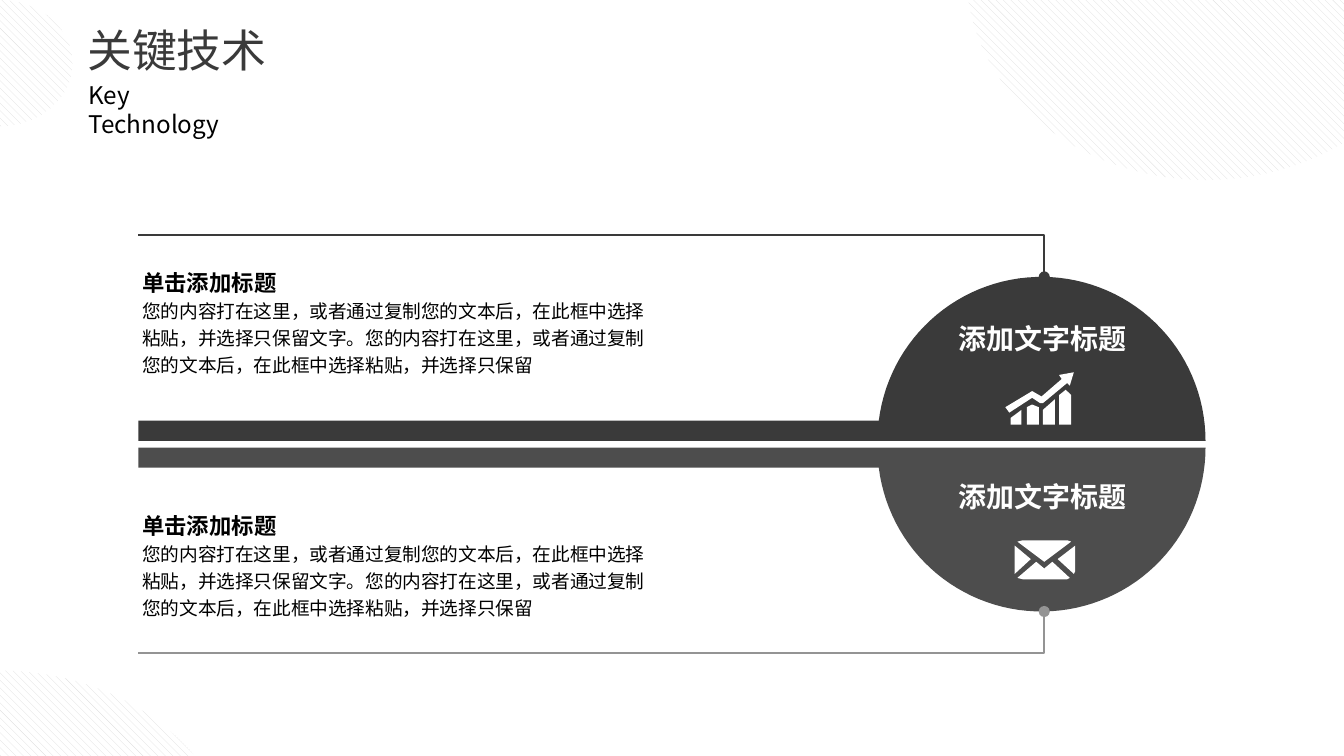
from math import asin, cos, pi, sin

from lxml import etree
from pptx import Presentation
from pptx.dml.color import RGBColor
from pptx.enum.dml import MSO_PATTERN
from pptx.enum.shapes import MSO_SHAPE
from pptx.enum.text import MSO_ANCHOR, PP_ALIGN
from pptx.oxml.ns import qn
from pptx.util import Inches, Pt

ELLIPSE = MSO_SHAPE.OVAL
DIAGONAL = MSO_PATTERN.WIDE_DOWNWARD_DIAGONAL
TOP = MSO_ANCHOR.TOP
LEFT = PP_ALIGN.LEFT

BLACK = RGBColor(0x00, 0x00, 0x00)
WHITE = RGBColor(0xFF, 0xFF, 0xFF)
DARK = RGBColor(0x3A, 0x3A, 0x3A)
SLATE = RGBColor(0x4D, 0x4D, 0x4D)
GREY = RGBColor(0x94, 0x94, 0x94)
HATCH = RGBColor(0xDD, 0xDD, 0xDD)

FONT = "Noto Sans CJK SC"
TITLE = {"size": Pt(24), "bold": False}
SUBTITLE = {"size": Pt(13), "bold": False}
LABEL = {"size": Pt(15), "bold": True}
HEADING = {"size": Pt(12), "bold": True}
BODY = {"size": Pt(10), "bold": False}

LABEL_TEXT = "添加文字标题"
HEADING_TEXT = "单击添加标题"
BODY_TEXT = (
    "您的内容打在这里，或者通过复制您的文本后，在此框中选择粘贴，并选择只保留文字。"
    "您的内容打在这里，或者通过复制您的文本后，在此框中选择粘贴，并选择只保留"
)

LEFT_EDGE = 1.03
CENTER_X, CENTER_Y, RADIUS = 7.75, 3.28, 1.22
BAR_TOP = 3.13
MIRROR_SUM = 6.61  # the y of a point and of its mirrored point add up to this

CHART_ICON = [
    [(7.48, 3.03), (7.68, 2.91), (7.75, 2.95), (7.90, 2.82), (7.88, 2.79),
     (7.99, 2.77), (7.96, 2.87), (7.94, 2.85), (7.76, 3.00), (7.74, 3.00),
     (7.68, 2.96), (7.51, 3.07)],
    [(7.52, 3.16), (7.52, 3.11), (7.60, 3.05), (7.60, 3.16)],
    [(7.64, 3.16), (7.64, 3.03), (7.68, 3.01), (7.73, 3.03), (7.73, 3.16)],
    [(7.76, 3.16), (7.76, 3.05), (7.85, 2.97), (7.85, 3.16)],
    [(7.88, 3.16), (7.88, 2.94), (7.93, 2.90), (7.97, 2.94), (7.97, 3.16)],
]
ENVELOPE_ICON = [
    [(7.57, 4.03), (7.61, 4.02), (7.94, 4.02), (7.97, 4.03), (7.77, 4.18)],
    [(8.00, 4.06), (7.87, 4.16), (7.99, 4.27), (8.00, 4.25)],
    [(7.96, 4.30), (7.94, 4.31), (7.61, 4.31), (7.57, 4.30), (7.71, 4.18),
     (7.77, 4.23), (7.83, 4.18)],
    [(7.55, 4.27), (7.67, 4.16), (7.55, 4.06)],
]


def mirrored(points):
    return [(x, MIRROR_SUM - y) for x, y in points]


def half_key_outline(steps=60):
    """Upper half disc with a bar running from it to the left edge."""
    start = pi - asin((CENTER_Y - BAR_TOP) / RADIUS)
    angles = [start * (1 - i / steps) for i in range(steps + 1)]
    arc = [(CENTER_X + RADIUS * cos(a), CENTER_Y - RADIUS * sin(a)) for a in angles]
    return [(LEFT_EDGE, CENTER_Y), (LEFT_EDGE, BAR_TOP)] + arc


def add_outline(slide, contours, closed=True):
    paths = [[(Inches(x), Inches(y)) for x, y in points] for points in contours]
    builder = slide.shapes.build_freeform(*paths[0][0])
    for index, points in enumerate(paths):
        if index:
            builder.move_to(*points[0])
        builder.add_line_segments(points[1:], close=closed)
    outline = builder.convert_to_shape()
    outline.shadow.inherit = False
    return outline


def add_filled(slide, contours, color):
    area = add_outline(slide, contours)
    area.fill.solid()
    area.fill.fore_color.rgb = color
    area.line.fill.background()


def add_leader(slide, points, color):
    """Bent line that ends in a dot."""
    leader = add_outline(slide, [points], closed=False)
    leader.fill.background()
    leader.line.color.rgb = color
    leader.line.width = Pt(1)
    line_xml = leader.element.spPr.find(qn("a:ln"))
    etree.SubElement(line_xml, qn("a:tailEnd"), type="oval")


def add_hatched_ellipse(slide, left, top, width, height):
    ellipse = slide.shapes.add_shape(
        ELLIPSE, Inches(left), Inches(top), Inches(width), Inches(height))
    ellipse.shadow.inherit = False
    ellipse.fill.patterned()
    ellipse.fill.pattern = DIAGONAL
    ellipse.fill.fore_color.rgb = HATCH
    ellipse.fill.back_color.rgb = WHITE
    ellipse.line.fill.background()


def write(paragraph, text, style, color, spacing=1.0):
    paragraph.alignment = LEFT
    paragraph.line_spacing = spacing
    run = paragraph.add_run()
    run.text = text
    for name, value in style.items():
        setattr(run.font, name, value)
    run.font.color.rgb = color
    run.font.name = FONT
    etree.SubElement(run.font._element, qn("a:ea"), typeface=FONT)


def add_text_frame(slide, left, top, width, height, wrap=True):
    box = slide.shapes.add_textbox(
        Inches(left), Inches(top), Inches(width), Inches(height))
    box.text_frame.word_wrap = wrap
    return box.text_frame


def add_title(slide):
    title = slide.shapes.title
    place = {"left": 0.55, "top": 0.12, "width": 2.33, "height": 0.51}
    for name, value in place.items():
        setattr(title, name, Inches(value))
    title.text_frame.vertical_anchor = TOP
    write(title.text_frame.paragraphs[0], "关键技术", TITLE, DARK)

    subtitle = add_text_frame(slide, 0.56, 0.55, 1.45, 0.32)
    write(subtitle.paragraphs[0], "Key Technology", SUBTITLE, BLACK)


def add_label(slide, top):
    label = add_text_frame(slide, 7.13, top, 1.26, 0.25, wrap=False)
    for side in ("left", "top", "right", "bottom"):
        setattr(label, f"margin_{side}", 0)
    write(label.paragraphs[0], LABEL_TEXT, LABEL, WHITE)


def add_description(slide, top):
    description = add_text_frame(slide, 0.96, top, 4.01, 0.95)
    write(description.paragraphs[0], HEADING_TEXT, HEADING, BLACK, 1.2)
    write(description.add_paragraph(), BODY_TEXT, BODY, BLACK, 1.2)


def main():
    presentation = Presentation()
    presentation.slide_width = Inches(10)
    presentation.slide_height = Inches(10) * 9 // 16
    slide = presentation.slides.add_slide(presentation.slide_layouts[5])

    upper_half = half_key_outline()
    upper_leader = [(LEFT_EDGE, 1.75), (7.77, 1.75), (7.77, 2.06)]
    add_filled(slide, [upper_half], DARK)
    add_filled(slide, [mirrored(upper_half)], SLATE)
    add_leader(slide, upper_leader, DARK)
    add_leader(slide, mirrored(upper_leader), GREY)

    for label_top, description_top in ((2.39, 1.91), (3.57, 3.72)):
        add_label(slide, label_top)
        add_description(slide, description_top)
    for icon in (CHART_ICON, ENVELOPE_ICON):
        add_filled(slide, icon, WHITE)

    add_hatched_ellipse(slide, 7.19, -1.74, 3.57, 3.08)
    add_hatched_ellipse(slide, -0.55, 0, 1.09, 0.94)
    add_hatched_ellipse(slide, -1.78, 4.99, 3.57, 3.08)
    add_title(slide)
    presentation.save("out.pptx")


if __name__ == "__main__":
    main()
